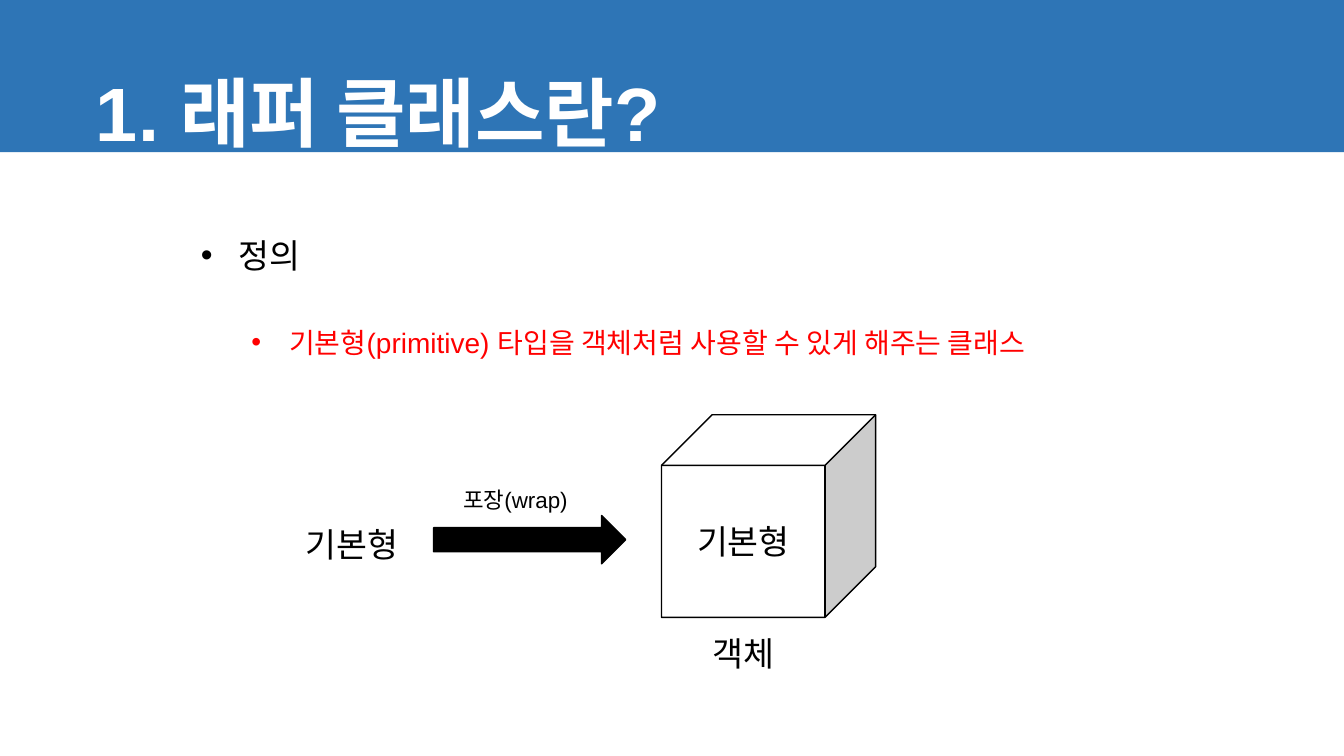
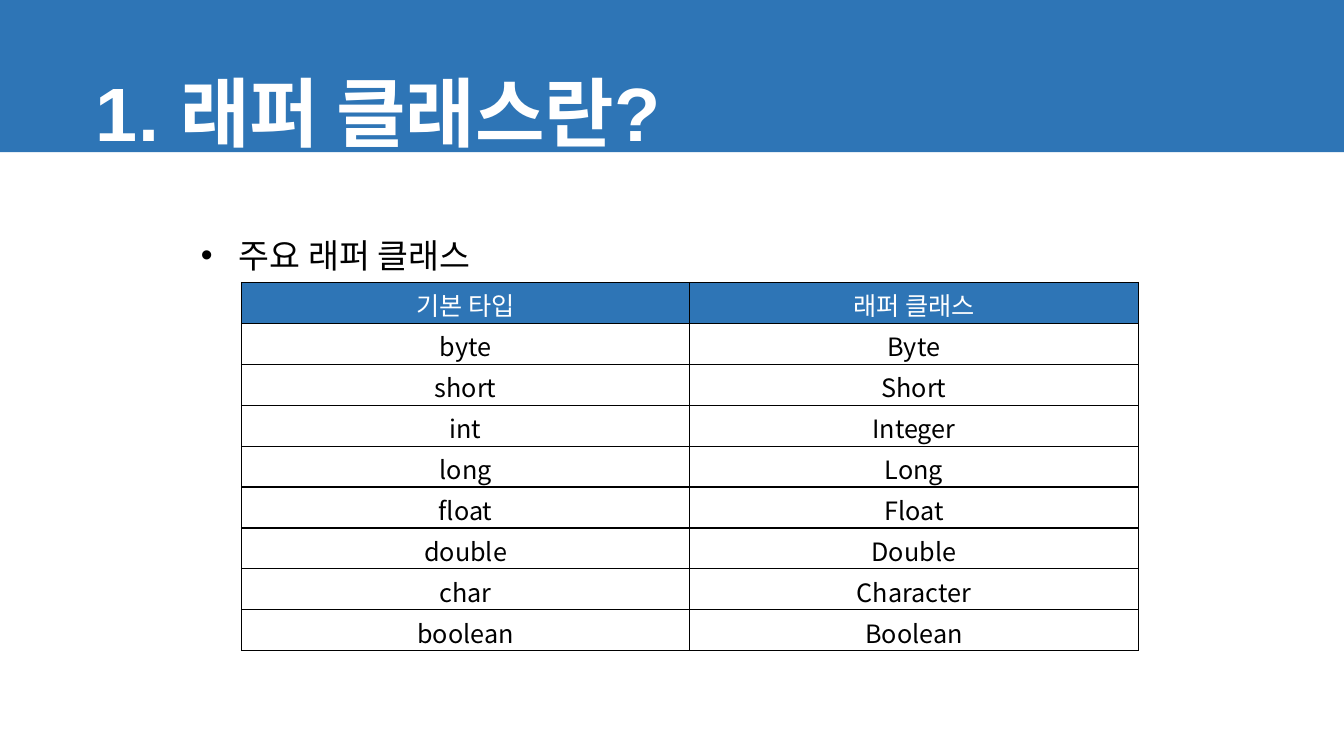
from dataclasses import dataclass
from typing import Optional

from lxml.etree import SubElement
from pptx import Presentation
from pptx.dml.color import RGBColor
from pptx.enum.shapes import MSO_SHAPE as Preset
from pptx.enum.text import MSO_ANCHOR as Anchor, PP_ALIGN as Align
from pptx.oxml.ns import qn
from pptx.util import Emu, Pt

EMU_PER_PX = 9525
PAGE_WIDTH, PAGE_HEIGHT = 1280, 720
COLORS = {
    "band": "2E75B6",
    "white": "FFFFFF",
    "black": "000000",
    "accent": "FF0000",
}
LATIN = "Arial"
KOREAN = "Noto Sans CJK KR"
TITLE = "1. 래퍼 클래스란?"
BULLET_HANG = 36


@dataclass(frozen=True)
class Area:
    left: int
    top: int
    width: int
    height: int


@dataclass(frozen=True)
class TextStyle:
    size: int
    color: str = "black"
    font: str = KOREAN
    bold: bool = False
    align: Align = Align.LEFT
    spacing: Optional[float] = None


@dataclass(frozen=True)
class Bullet:
    text: str
    level: int = 0


@dataclass(frozen=True)
class Label:
    text: str
    area: Area
    style: TextStyle


@dataclass(frozen=True)
class Figure:
    preset: Preset
    area: Area
    fill: str
    line: Optional[str] = None


TITLE_STYLE = TextStyle(54, "white", LATIN, bold=True, spacing=0.9)
BULLET_STYLES = (
    TextStyle(24, font=LATIN, spacing=2.5),
    TextStyle(20, "accent", LATIN, spacing=2.5),
)
LABEL_STYLE = TextStyle(24, align=Align.CENTER)
CAPTION_STYLE = TextStyle(16, font=LATIN, align=Align.CENTER)
HEADER_STYLE = TextStyle(18, "white", align=Align.CENTER)
CELL_STYLE = TextStyle(18, align=Align.CENTER)

BAND = Figure(Preset.RECTANGLE, Area(0, 0, PAGE_WIDTH, 145), "band")
TITLE_LABEL = Label(TITLE, Area(82, 57, 1104, 98), TITLE_STYLE)

WRAPPING_FIGURES = (
    Figure(Preset.CUBE, Area(630, 395, 204, 193), "white", "black"),
    Figure(Preset.RIGHT_ARROW, Area(413, 491, 183, 46), "black", "black"),
)
WRAPPING_LABELS = (
    Label("기본형", Area(630, 491, 156, 48), LABEL_STYLE),
    Label("기본형", Area(257, 494, 156, 48), LABEL_STYLE),
    Label("포장(wrap)", Area(413, 458, 156, 36), CAPTION_STYLE),
    Label("객체", Area(630, 598, 156, 48), LABEL_STYLE),
)

TYPE_ROWS = (
    ("기본 타입", "래퍼 클래스"),
    ("byte", "Byte"),
    ("short", "Short"),
    ("int", "Integer"),
    ("long", "Long"),
    ("float", "Float"),
    ("double", "Double"),
    ("char", "Character"),
    ("boolean", "Boolean"),
)
TABLE_LEFT, TABLE_TOP = 230, 269
COLUMN_WIDTH, ROW_HEIGHT = 427, 39


def px(length: int) -> Emu:
    return Emu(length * EMU_PER_PX)


def rgb(name: str) -> RGBColor:
    return RGBColor.from_string(COLORS[name])


def place(area: Area) -> tuple:
    return px(area.left), px(area.top), px(area.width), px(area.height)


def style_paragraph(para, style: TextStyle) -> None:
    para.alignment = style.align
    if style.spacing:
        para.line_spacing = style.spacing
    font = para.font
    font.size = Pt(style.size)
    font.bold = style.bold
    font.color.rgb = rgb(style.color)
    font.name = style.font
    defaults = para._p.pPr.find(qn("a:defRPr"))
    SubElement(defaults, qn("a:ea"), typeface=KOREAN)


def add_figure(page, figure: Figure) -> None:
    shape = page.shapes.add_shape(figure.preset, *place(figure.area))
    shape.shadow.inherit = False
    shape.fill.solid()
    shape.fill.fore_color.rgb = rgb(figure.fill)
    if figure.line:
        shape.line.color.rgb = rgb(figure.line)
        shape.line.width = Pt(1)
    else:
        shape.line.fill.background()


def add_frame(page, area: Area, anchor: Anchor = Anchor.TOP):
    frame = page.shapes.add_textbox(*place(area)).text_frame
    frame.word_wrap = True
    frame.vertical_anchor = anchor
    return frame


def add_label(page, label: Label, anchor: Anchor = Anchor.TOP) -> None:
    para = add_frame(page, label.area, anchor).paragraphs[0]
    para.text = label.text
    style_paragraph(para, label.style)


def add_bullets(page, bullets: tuple[Bullet, ...], height: int) -> None:
    frame = add_frame(page, Area(182, 161, 1003, height))
    for index, bullet in enumerate(bullets):
        para = frame.add_paragraph() if index else frame.paragraphs[0]
        para.text = bullet.text
        para.level = bullet.level
        properties = para._p.get_or_add_pPr()
        properties.set("marL", str(px(BULLET_HANG + 48 * bullet.level)))
        properties.set("indent", str(px(-BULLET_HANG)))
        SubElement(properties, qn("a:buFont"), typeface=LATIN)
        SubElement(properties, qn("a:buChar"), char="•")
        style_paragraph(para, BULLET_STYLES[bullet.level])


def add_borders(cell) -> None:
    properties = cell._tc.get_or_add_tcPr()
    for side in ("lnL", "lnR", "lnT", "lnB"):
        line = SubElement(properties, qn(f"a:{side}"), w=str(Pt(1)))
        fill = SubElement(line, qn("a:solidFill"))
        SubElement(fill, qn("a:srgbClr"), val=COLORS["black"])


def add_type_table(page) -> None:
    row_count, column_count = len(TYPE_ROWS), len(TYPE_ROWS[0])
    area = Area(TABLE_LEFT, TABLE_TOP,
                COLUMN_WIDTH * column_count, ROW_HEIGHT * row_count)
    table = page.shapes.add_table(row_count, column_count, *place(area)).table
    table.first_row = False
    table.horz_banding = False
    for row_index, texts in enumerate(TYPE_ROWS):
        is_header = row_index == 0
        for column_index, text in enumerate(texts):
            cell = table.cell(row_index, column_index)
            cell.margin_top, cell.margin_bottom = px(4), px(0)
            add_borders(cell)
            cell.fill.solid()
            cell.fill.fore_color.rgb = rgb("band" if is_header else "white")
            para = cell.text_frame.paragraphs[0]
            para.text = text
            style_paragraph(para, HEADER_STYLE if is_header else CELL_STYLE)


def add_page(deck):
    page = deck.slides.add_slide(deck.slide_layouts[6])
    add_figure(page, BAND)
    add_label(page, TITLE_LABEL, Anchor.BOTTOM)
    return page


def add_definition_page(deck) -> None:
    page = add_page(deck)
    add_bullets(page, (
        Bullet("정의"),
        Bullet("기본형(primitive) 타입을 객체처럼 사용할 수 있게 해주는 클래스", 1),
    ), 187)
    for figure in WRAPPING_FIGURES:
        add_figure(page, figure)
    for label in WRAPPING_LABELS:
        add_label(page, label)


def add_classes_page(deck) -> None:
    page = add_page(deck)
    add_bullets(page, (Bullet("주요 래퍼 클래스"),), 89)
    add_type_table(page)


def main() -> None:
    deck = Presentation()
    deck.slide_width, deck.slide_height = px(PAGE_WIDTH), px(PAGE_HEIGHT)
    add_definition_page(deck)
    add_classes_page(deck)
    deck.save("out.pptx")


if __name__ == "__main__":
    main()
